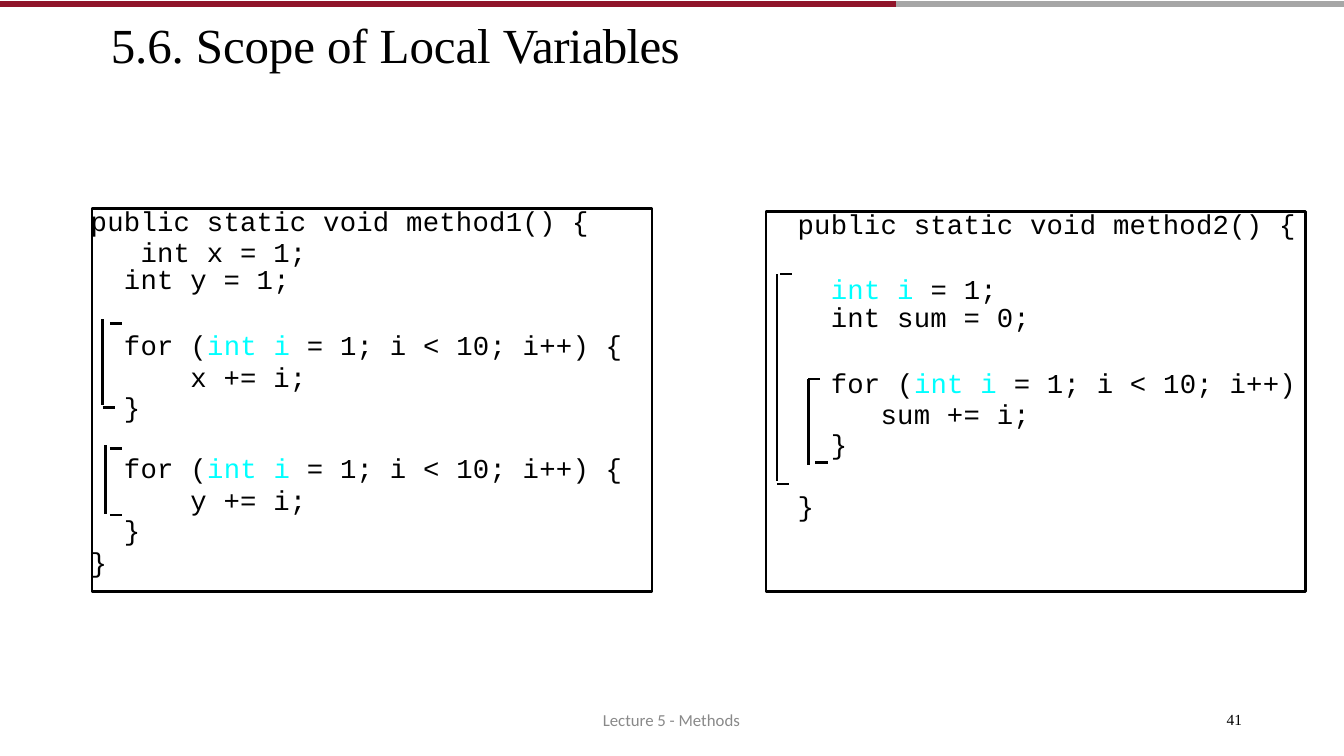
from dataclasses import dataclass

from lxml.etree import SubElement
from pptx import Presentation
from pptx.dml.color import RGBColor
from pptx.enum.shapes import MSO_CONNECTOR, MSO_SHAPE
from pptx.enum.text import MSO_ANCHOR, MSO_AUTO_SIZE, PP_ALIGN
from pptx.oxml.ns import qn
from pptx.slide import Slide
from pptx.text.text import TextFrame, _Paragraph
from pptx.util import Pt

BLACK = RGBColor(0x00, 0x00, 0x00)
CYAN = RGBColor(0x00, 0xFF, 0xFF)
GREY = RGBColor(0x89, 0x89, 0x89)
SILVER = RGBColor(0xA6, 0xA6, 0xA6)
CRIMSON = RGBColor(0x90, 0x15, 0x2A)
DECLARATION = "int i"
STROKE = 1.86
TICK = 8.64


@dataclass
class CodeLine:
    text: str
    pitch: float
    before: float = 0


@dataclass
class Bracket:
    x: float
    top: float
    bottom: float
    ticks: list[tuple[float, float]]


@dataclass
class Label:
    text: str
    left: float
    top: float
    width: float
    height: float
    font: str
    size: float
    color: RGBColor


METHOD1 = [
    CodeLine("public static void method1() {", 22.4),
    CodeLine("   int x = 1;", 22.4),
    CodeLine("  int y = 1;", 19.3),
    CodeLine("  for (int i = 1; i < 10; i++) {", 22.4, 24.7),
    CodeLine("      x += i;", 22.4),
    CodeLine("  }", 21.8),
    CodeLine("  for (int i = 1; i < 10; i++) {", 22.4, 21.4),
    CodeLine("      y += i;", 22.4),
    CodeLine("  }", 21.8),
    CodeLine("}", 22.4),
]
METHOD2 = [
    CodeLine("public static void method2() {", 20.1),
    CodeLine("  int i = 1;", 19.9, 26.5),
    CodeLine("  int sum = 0;", 19.9),
    CodeLine("  for (int i = 1; i < 10; i++)", 22.4, 24.7),
    CodeLine("     sum += i;", 22.4),
    CodeLine("  }", 21.8),
    CodeLine("}", 22.1, 22.2),
]
BRACKETS = [
    Bracket(73.4, 228.2, 289.4, [(78.5, 231.1), (73.4, 290.9)]),
    Bracket(75.6, 318.2, 367.2, [(78.5, 320.4), (78.5, 367.9)]),
    Bracket(577.4, 270.7, 331.9, [(577.4, 270.7), (582.5, 330.5)]),
    Bracket(555.1, 195.8, 343.4, [(557.3, 195.8), (555.1, 345.6)]),
]
LABELS = [
    Label("Lecture 5 - Methods", 430.6, 507, 100, 16.5, "Calibri", 12, GREY),
    Label("41", 876.2, 507.6, 17.5, 14.4, "Times New Roman", 11, BLACK),
]


def reset_frame(tf: TextFrame, left: float = 0) -> None:
    tf.margin_left = Pt(left)
    tf.margin_top = tf.margin_right = tf.margin_bottom = Pt(0)
    tf.vertical_anchor = MSO_ANCHOR.TOP
    tf.auto_size = MSO_AUTO_SIZE.NONE
    tf.word_wrap = False


def style(p: _Paragraph, font: str, size: float) -> None:
    p.alignment = PP_ALIGN.LEFT
    p.font.name = font
    p.font.size = Pt(size)


def add_run(p: _Paragraph, text: str, color: RGBColor, spacing: float) -> None:
    r = p.add_run()
    r.text = text
    r.font.color.rgb = color
    r._r.get_or_add_rPr().set("spc", str(round(spacing * 100)))


def add_line(s: Slide, x1: float, y1: float, x2: float, y2: float,
             color: RGBColor = BLACK, width: float = STROKE) -> None:
    line = s.shapes.add_connector(MSO_CONNECTOR.STRAIGHT, Pt(x1), Pt(y1), Pt(x2), Pt(y2))
    line.line.color.rgb = color
    line.line.width = Pt(width)
    SubElement(line._element.spPr, qn("a:effectLst"))


def add_frame(s: Slide, left: float, top: float, width: float, height: float) -> TextFrame:
    sp = s.shapes.add_shape(MSO_SHAPE.RECTANGLE, Pt(left), Pt(top), Pt(width), Pt(height))
    sp.shadow.inherit = False
    sp.fill.background()
    sp.line.color.rgb = BLACK
    sp.line.width = Pt(STROKE)
    return sp.text_frame


def add_text_box(s: Slide, left: float, top: float, width: float, height: float) -> TextFrame:
    tf = s.shapes.add_textbox(Pt(left), Pt(top), Pt(width), Pt(height)).text_frame
    reset_frame(tf)
    return tf


def write_code(tf: TextFrame, lines: list[CodeLine]) -> None:
    for i, line in enumerate(lines):
        p = tf.add_paragraph() if i else tf.paragraphs[0]
        p.line_spacing = Pt(line.pitch)
        if line.before:
            p.space_before = Pt(line.before)
        style(p, "Courier New", 19.5)
        for part in line.text.partition(DECLARATION):
            if part:
                add_run(p, part, CYAN if part == DECLARATION else BLACK, 0.15)


def add_bracket(s: Slide, b: Bracket) -> None:
    add_line(s, b.x, b.top, b.x, b.bottom)
    for x, y in b.ticks:
        add_line(s, x, y, x + TICK, y)


def add_label(s: Slide, label: Label) -> None:
    tf = add_text_box(s, label.left, label.top, label.width, label.height)
    p = tf.paragraphs[0]
    style(p, label.font, label.size)
    add_run(p, label.text, label.color, 0)


def set_title(s: Slide) -> None:
    sp = s.shapes.title
    sp.left, sp.top, sp.width, sp.height = Pt(79.2), Pt(10), Pt(413), Pt(44)
    reset_frame(sp.text_frame)
    p = sp.text_frame.paragraphs[0]
    style(p, "Times New Roman", 35)
    add_run(p, "5.6. Scope of Local ", BLACK, -0.1)
    add_run(p, "Variables", BLACK, -0.5)


def main() -> None:
    prs = Presentation()
    prs.slide_width, prs.slide_height = Pt(960), Pt(540)
    s = prs.slides.add_slide(prs.slide_layouts[5])

    add_frame(s, 65.7, 149, 400, 273.6)
    write_code(add_text_box(s, 64.8, 146.9, 382.3, 267), METHOD1)
    tf = add_frame(s, 547.2, 151.2, 385.2, 271.4)
    reset_frame(tf, 22.5)
    write_code(tf, METHOD2)
    for bracket in BRACKETS:
        add_bracket(s, bracket)

    add_line(s, 640, 2.8, 960, 2.8, SILVER, 4)
    add_line(s, 0, 2.8, 640, 2.8, CRIMSON, 4)
    set_title(s)
    for label in LABELS:
        add_label(s, label)
    prs.save("out.pptx")


if __name__ == "__main__":
    main()
